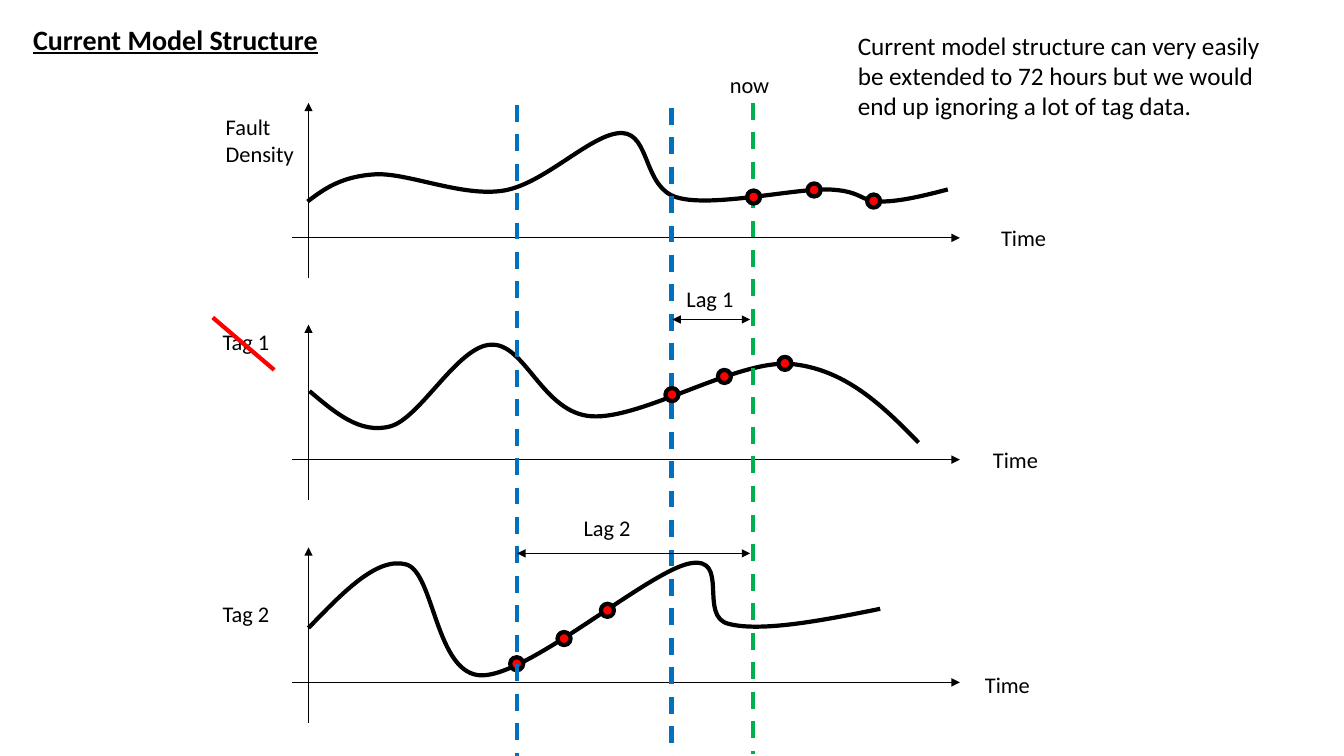
from lxml.etree import SubElement
from pptx import Presentation
from pptx.dml.color import RGBColor
from pptx.enum.dml import MSO_LINE
from pptx.enum.shapes import MSO_CONNECTOR, MSO_SHAPE
from pptx.enum.text import MSO_AUTO_SIZE
from pptx.oxml.ns import qn
from pptx.util import Inches, Pt

FONT = "Calibri"
COLORS = {"ink": "000000", "now": "00B050", "lag": "0070C0", "mark": "FF0000"}
DOT = 0.13

# Axis height, left edge and top of its "Time" label
AXES = [(2.36, 9.83, 2.17), (4.56, 9.75, 4.38), (6.77, 9.67, 6.61)]

# Each curve: start point, then (control, control, end) triples
FAULT_CURVE = [
    (3.05, 2), (3.22, 1.87), (3.39, 1.75), (3.72, 1.73),
    (4.04, 1.71), (4.59, 1.96), (5, 1.89),
    (5.41, 1.82), (5.88, 1.31), (6.17, 1.32),
    (6.45, 1.33), (6.38, 1.87), (6.72, 1.96),
    (7.06, 2.06), (7.88, 1.87), (8.21, 1.88),
    (8.55, 1.89), (8.53, 2), (8.73, 2),
    (8.93, 2), (9.17, 1.94), (9.4, 1.88)]
TAG_1_CURVE = [
    (3.07, 3.88), (3.32, 4.09), (3.57, 4.31), (3.87, 4.23),
    (4.17, 4.15), (4.54, 3.43), (4.87, 3.42),
    (5.21, 3.4), (5.38, 4.1), (5.87, 4.13),
    (6.37, 4.16), (7.3, 3.57), (7.84, 3.61),
    (8.38, 3.66), (8.75, 4.02), (9.11, 4.39)]
TAG_2_CURVE = [
    (3.06, 6.23), (3.4, 5.88), (3.74, 5.52), (4.03, 5.6),
    (4.31, 5.68), (4.32, 6.7), (4.78, 6.7),
    (5.25, 6.7), (6.43, 5.67), (6.84, 5.59),
    (7.25, 5.51), (6.92, 6.12), (7.23, 6.19),
    (7.55, 6.27), (8.14, 6.16), (8.73, 6.04)]

# Left and top of the sampled points, one row per curve
DOTS = [
    (7.41, 1.89), (8.01, 1.82), (8.6, 1.93),
    (6.6, 3.85), (7.12, 3.67), (7.72, 3.54),
    (5.06, 6.52), (5.53, 6.27), (5.96, 5.99)]

# Text, left, top, width, height
LABELS = [
    ("Fault\nDensity", 2.14, 1.07, 0.89, 0.64),
    ("Tag 1", 2.11, 3.21, 0.67, 0.37),
    ("Tag 2", 2.11, 5.9, 0.67, 0.37),
    ("Lag 1", 6.71, 2.78, 0.67, 0.37),
    ("Lag 2", 5.69, 5.05, 0.67, 0.37),
    ("now", 7.14, 0.66, 0.6, 0.37)]


def rgb(name):
    return RGBColor.from_string(COLORS[name])


def add_text(page, text, left, top, width, height, size=16, wrap=False, heading=False):
    box = page.shapes.add_textbox(Inches(left), Inches(top), Inches(width), Inches(height))
    frame = box.text_frame
    frame.word_wrap = wrap
    frame.auto_size = MSO_AUTO_SIZE.SHAPE_TO_FIT_TEXT
    for index, line in enumerate(text.split("\n")):
        para = frame.add_paragraph() if index else frame.paragraphs[0]
        run = para.add_run()
        run.text = line
        run.font.name = FONT
        run.font.size = Pt(size)
        run.font.color.rgb = rgb("ink")
        if heading:
            run.font.bold = True
            run.font.underline = True


def add_line(page, start, end, color="ink", width=0.75, dashed=False, arrows=()):
    points = [Inches(value) for value in (*start, *end)]
    line = page.shapes.add_connector(MSO_CONNECTOR.STRAIGHT, *points)
    line.line.color.rgb = rgb(color)
    line.line.width = Pt(width)
    if dashed:
        line.line.dash_style = MSO_LINE.DASH
    properties = line._element.spPr
    for arrow in arrows:
        SubElement(properties.find(qn("a:ln")), qn(f"a:{arrow}"), type="triangle")
    SubElement(properties, qn("a:effectLst"))


def add_curve(page, knots):
    start, *rest = [(Inches(x), Inches(y)) for x, y in knots]
    builder = page.shapes.build_freeform(*start)
    builder.add_line_segments(rest, close=False)
    curve = builder.convert_to_shape()
    curve.shadow.inherit = False
    curve.fill.background()
    curve.line.color.rgb = rgb("ink")
    curve.line.width = Pt(3)

    # Turn every three straight segments into one cubic segment
    outline = next(curve._element.iter(qn("a:path")))
    segments = outline.findall(qn("a:lnTo"))
    for first in range(0, len(segments), 3):
        cubic = SubElement(outline, qn("a:cubicBezTo"))
        for segment in segments[first:first + 3]:
            cubic.append(segment[0])
            outline.remove(segment)


def add_dot(page, left, top):
    dot = page.shapes.add_shape(
        MSO_SHAPE.OVAL, Inches(left), Inches(top), Inches(DOT), Inches(DOT))
    dot.shadow.inherit = False
    dot.fill.solid()
    dot.fill.fore_color.rgb = rgb("mark")
    dot.line.color.rgb = rgb("ink")
    dot.line.width = Pt(3)


def add_axes(page, height, label_left, label_top):
    add_line(page, (2.9, height), (9.52, height), arrows=["tailEnd"])
    add_line(page, (3.06, height + 0.4), (3.06, height - 1.34), arrows=["tailEnd"])
    add_text(page, "Time", label_left, label_top, 0.65, 0.37)


def main():
    deck = Presentation()
    deck.slide_width, deck.slide_height = Inches(13.33), Inches(7.5)
    page = deck.slides.add_slide(deck.slide_layouts[6])

    # Title and remark
    add_text(page, "Current Model Structure", 0.23, 0.17, 7.17, 0.44,
             size=20, wrap=True, heading=True)
    add_text(page, "Current model structure can very easily be extended to 72 hours "
             "but we would end up ignoring a lot of tag data.",
             8.41, 0.25, 4.27, 1.01, size=18, wrap=True)

    # Three time plots
    for axis in AXES:
        add_axes(page, *axis)
    for knots in (FAULT_CURVE, TAG_1_CURVE, TAG_2_CURVE):
        add_curve(page, knots)
    for label in LABELS:
        add_text(page, *label)

    # Time markers and sampled points
    add_line(page, (7.47, 1.02), (7.47, 7.48), "now", 3, dashed=True)
    add_line(page, (6.66, 1.07), (6.66, 7.53), "lag", 3, dashed=True)
    for dot in DOTS:
        add_dot(page, *dot)
    add_line(page, (5.13, 1.04), (5.13, 7.5), "lag", 3, dashed=True)

    # Lag spans and the strike through Tag 1
    for left, height in ((6.67, 3.17), (5.13, 5.49)):
        add_line(page, (7.44, height), (left, height), arrows=["headEnd", "tailEnd"])
    add_line(page, (2.11, 3.15), (2.72, 3.67), "mark", 3)

    deck.save("out.pptx")


if __name__ == "__main__":
    main()
